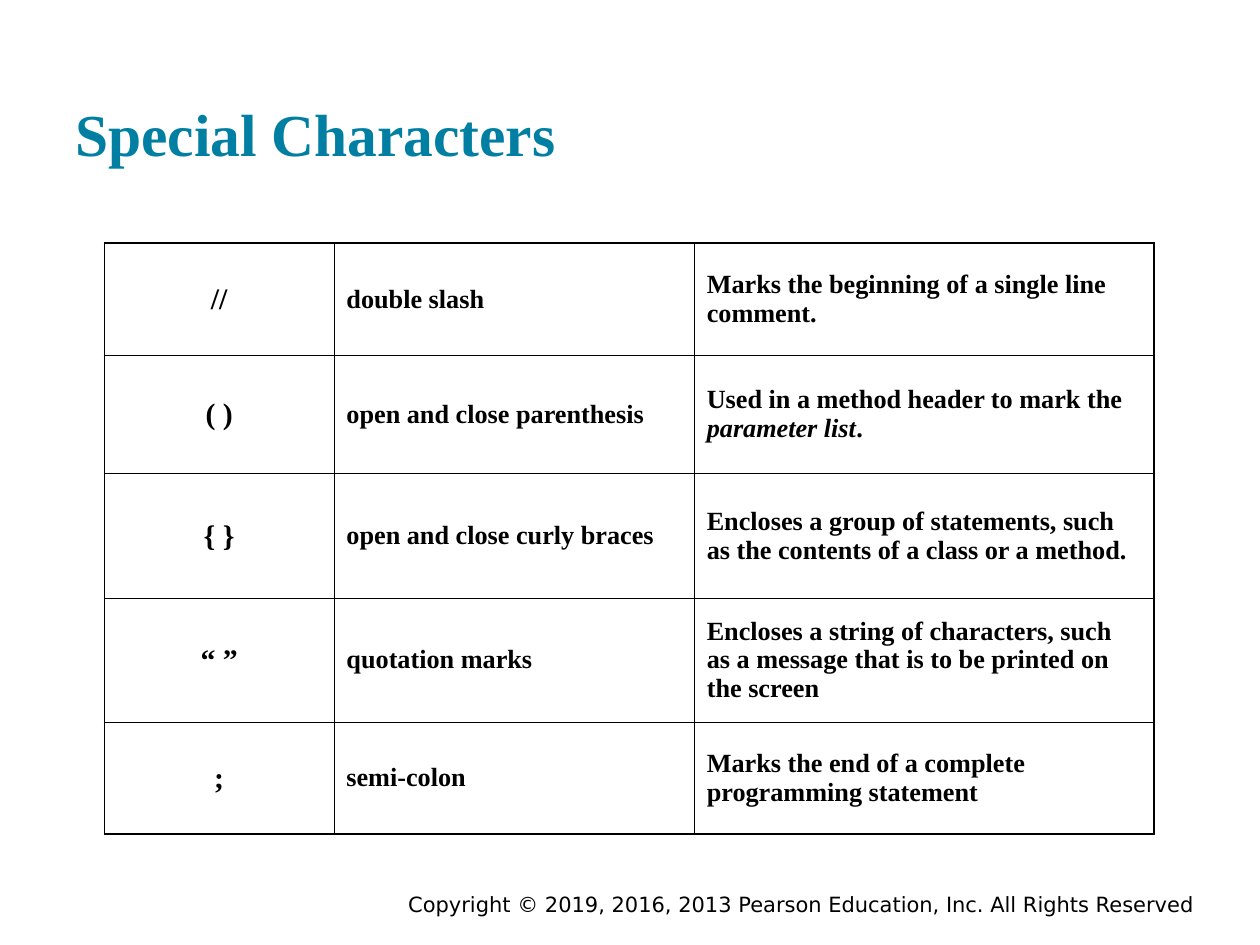
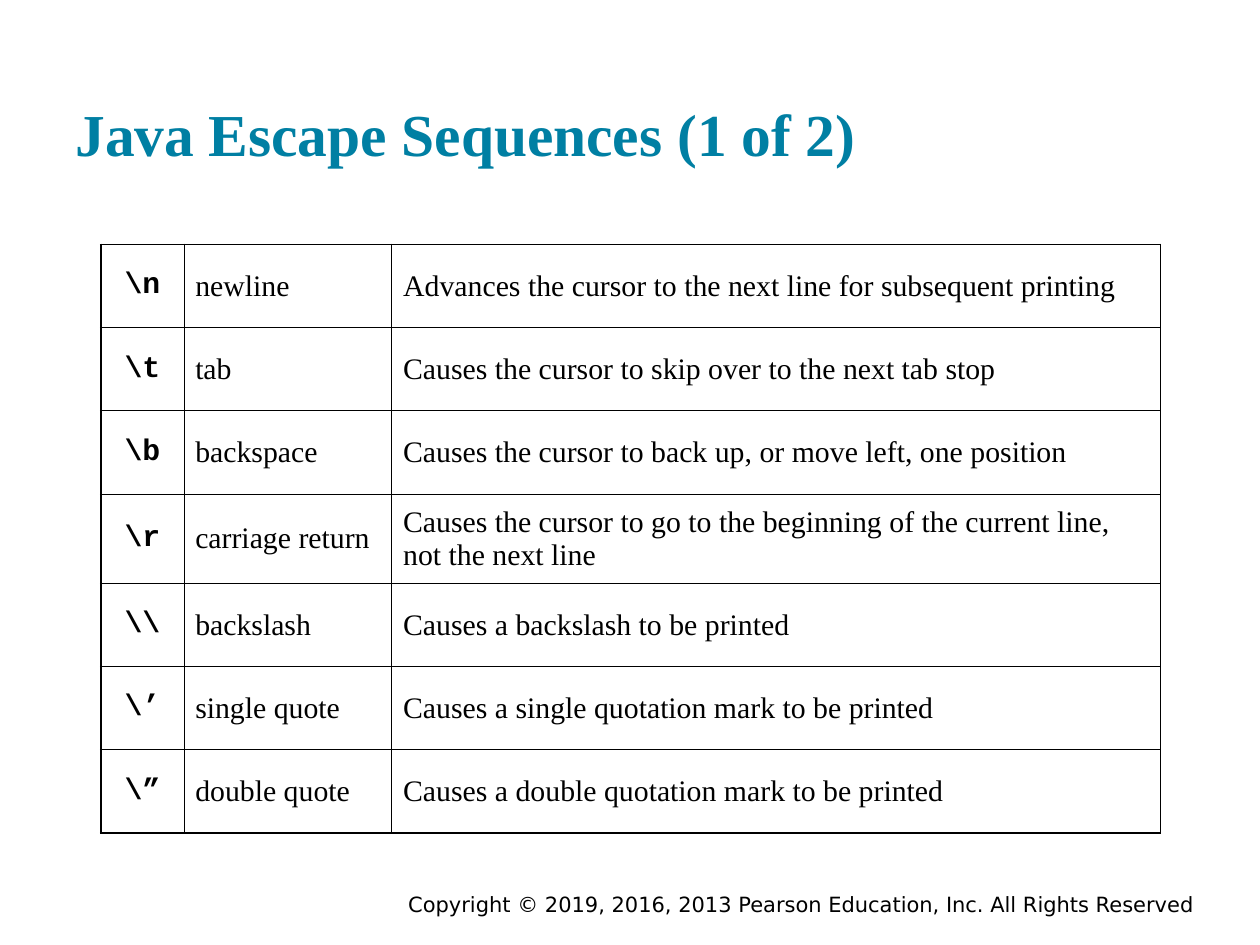
"""Build two Java reference slides, each a titled table of symbols and their meanings."""
import pptx
import pptx.dml.color
import pptx.enum.text
import pptx.oxml
import pptx.oxml.ns
import pptx.util
from pptx.util import Inches

COLORS = {"title": "007FA3", "ink": "000000"}
SERIF, MONO, SANS = "Times New Roman", "Courier New", "DejaVu Sans"
COPYRIGHT = "Copyright © 2019, 2016, 2013 Pearson Education, Inc. All Rights Reserved"
OUTER_RULE, INNER_RULE = 1.08, 0.45
ALIGN = pptx.enum.text.PP_ALIGN
ANCHOR = pptx.enum.text.MSO_ANCHOR

# A tuple of strings alternates upright and italic text.
PAGES = [
    {
        "title": "Special Characters",
        "left": 0.83, "top": 1.93, "margin": 0.1,
        "widths": [1.82, 2.86, 3.65],
        "heights": [0.89, 0.94, 0.99, 0.98, 0.89],
        "symbol": {"size": 17, "bold": True},
        "meaning": {"size": 15, "bold": True},
        "rows": [
            ("//", "double slash", "Marks the beginning of a single line comment."),
            ("( )", "open and close parenthesis",
             ("Used in a method header to mark the ", "parameter list", ".")),
            ("{ }", "open and close curly braces",
             "Encloses a group of statements, such as the contents of a class or a method."),
            ("“ ”", "quotation marks",
             "Encloses a string of characters, such as a message that is to be printed on the screen"),
            (";", "semi-colon", "Marks the end of a complete programming statement"),
        ],
    },
    {
        "title": "Java Escape Sequences (1 of 2)",
        "left": 0.8, "top": 1.94, "margin": 0.09,
        "widths": [0.66, 1.65, 6.1],
        "heights": [0.66, 0.66, 0.66, 0.71, 0.66, 0.66, 0.66],
        "symbol": {"size": 17, "bold": True, "font": MONO},
        "meaning": {"size": 17},
        "rows": [
            (r"\n", "newline", "Advances the cursor to the next line for subsequent printing"),
            (r"\t", "tab", "Causes the cursor to skip over to the next tab stop"),
            (r"\b", "backspace", "Causes the cursor to back up, or move left, one position"),
            (r"\r", "carriage return",
             "Causes the cursor to go to the beginning of the current line, not the next line"),
            (r"\\", "backslash", "Causes a backslash to be printed"),
            (r"\’", "single quote", "Causes a single quotation mark to be printed"),
            (r"\”", "double quote", "Causes a double quotation mark to be printed"),
        ],
    },
]


def write(frame, text, size, font=SERIF, color="ink", bold=False, align=ALIGN.LEFT):
    paragraph = frame.paragraphs[0]
    paragraph.alignment = align
    pieces = (text,) if isinstance(text, str) else text
    for position, piece in enumerate(pieces):
        run = paragraph.add_run()
        run.text = piece
        run.font.name = font
        run.font.size = pptx.util.Pt(size)
        run.font.bold = bold
        run.font.italic = position % 2 == 1
        run.font.color.rgb = pptx.dml.color.RGBColor.from_string(COLORS[color])


def add_text(slide, box, text, anchor=ANCHOR.TOP, inset=0.05, **style):
    frame = slide.shapes.add_textbox(*map(Inches, box)).text_frame
    frame.word_wrap = True
    frame.vertical_anchor = anchor
    frame.margin_top = frame.margin_bottom = Inches(inset)
    write(frame, text, **style)


def rule_cell(cell, outer_sides):
    properties = cell._tc.get_or_add_tcPr()
    for side in "LRTB":
        width = pptx.util.Pt(OUTER_RULE if side in outer_sides else INNER_RULE)
        properties.append(pptx.oxml.parse_xml(
            f'<a:ln{side} {pptx.oxml.ns.nsdecls("a")} w="{width}"><a:solidFill>'
            f'<a:srgbClr val="{COLORS["ink"]}"/></a:solidFill></a:ln{side}>'))


def add_meanings(slide, page):
    widths, heights = page["widths"], page["heights"]
    last_row, last_column = len(heights) - 1, len(widths) - 1
    table = slide.shapes.add_table(
        len(heights), len(widths), Inches(page["left"]), Inches(page["top"]),
        Inches(sum(widths)), Inches(sum(heights))).table
    table.first_row = table.horz_banding = False
    for column, width in zip(table.columns, widths):
        column.width = Inches(width)
    for r, (height, entries) in enumerate(zip(heights, page["rows"])):
        table.rows[r].height = Inches(height)
        for c, entry in enumerate(entries):
            cell = table.cell(r, c)
            cell.vertical_anchor = ANCHOR.MIDDLE
            cell.margin_left = cell.margin_right = Inches(page["margin"])
            edges = {"L": c == 0, "R": c == last_column, "T": r == 0, "B": r == last_row}
            rule_cell(cell, [side for side, is_outer in edges.items() if is_outer])
            cell.fill.background()
            if c == 0:
                write(cell.text_frame, entry, align=ALIGN.CENTER, **page["symbol"])
            else:
                write(cell.text_frame, entry, **page["meaning"])


def main():
    deck = pptx.Presentation()
    deck.slide_width, deck.slide_height = Inches(10), Inches(7.5)
    for page in PAGES:
        slide = deck.slides.add_slide(deck.slide_layouts[6])
        add_text(slide, (1.75, 7.03, 7.83, 0.22), COPYRIGHT,
                 size=12, font=SANS, align=ALIGN.RIGHT)
        add_text(slide, (0.5, 0.24, 9, 1.2), page["title"], anchor=ANCHOR.BOTTOM,
                 inset=0.1, size=34, color="title", bold=True)
        add_meanings(slide, page)
    deck.save("out.pptx")


if __name__ == "__main__":
    main()
